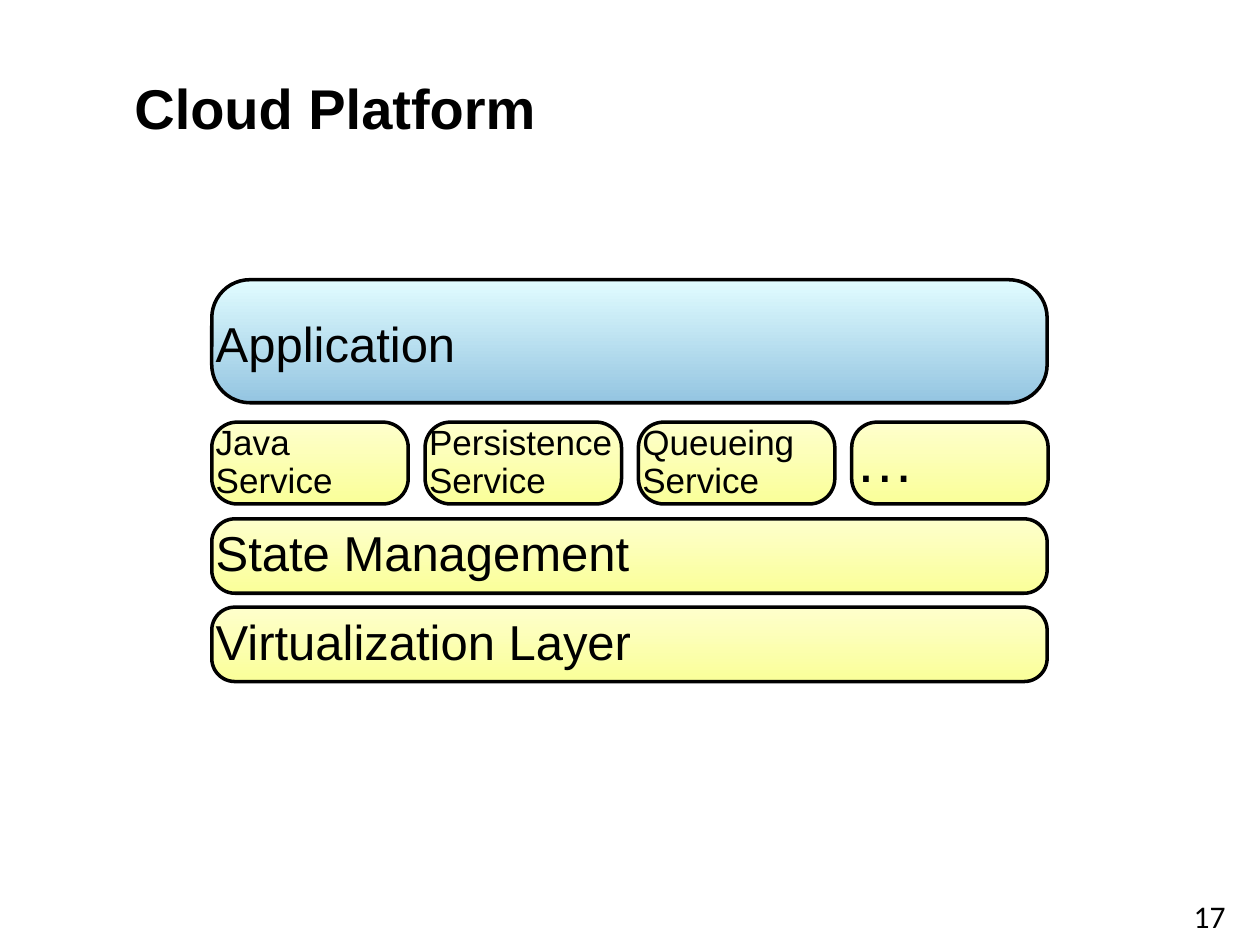
from dataclasses import dataclass

from pptx import Presentation
from pptx.dml.color import RGBColor
from pptx.enum.shapes import MSO_SHAPE
from pptx.enum.text import MSO_ANCHOR, PP_ALIGN
from pptx.util import Cm, Pt


@dataclass(frozen=True)
class Theme:
    ink: str = "000000"
    blue: tuple = ("E1FCFF", "94C5E1")
    yellow: tuple = ("FEFFCC", "FAFF99")
    heading_font: str = "Arial"
    number_font: str = "Calibri"
    title_size: int = 32
    layer_size: int = 28
    service_size: int = 20
    more_size: int = 34
    number_size: int = 18
    outline: int = 2
    corner: float = 0.31
    line_spacing: float = 0.9


THEME = Theme()

TITLE = "Cloud Platform"
PAGE_NUMBER = "17"
APPLICATION = "Application"
SERVICES = [
    ("Java\nService", THEME.service_size),
    ("Persistence\nService", THEME.service_size),
    ("Queueing\nService", THEME.service_size),
    ("…", THEME.more_size),
]
LAYERS = ["State Management", "Virtualization Layer"]

STACK_LEFT, STACK_WIDTH = 4.27, 16.84
APPLICATION_TOP, APPLICATION_HEIGHT = 5.64, 2.48
SERVICE_TOP, SERVICE_HEIGHT = 8.51, 1.65
SERVICE_WIDTH, SERVICE_PITCH = 3.96, 4.3
LAYER_TOP, LAYER_HEIGHT, LAYER_PITCH = 10.46, 1.5, 1.78
LABEL_INSET = 0.08
APPLICATION_LABEL_DROP = 0.1


def add_text(slide, text, area, size, font=THEME.heading_font, bold=False,
             align=PP_ALIGN.LEFT, anchor=MSO_ANCHOR.MIDDLE,
             padding=(0, 0), spacing=THEME.line_spacing):
    frame = slide.shapes.add_textbox(*map(Cm, area)).text_frame
    frame.word_wrap = True
    frame.vertical_anchor = anchor
    frame.margin_left = frame.margin_right = Cm(padding[0])
    frame.margin_top = frame.margin_bottom = Cm(padding[1])
    frame.text = text
    for paragraph in frame.paragraphs:
        paragraph.alignment = align
        paragraph.line_spacing = spacing
        for run in paragraph.runs:
            run.font.name = font
            run.font.size = Pt(size)
            run.font.bold = bold
            run.font.color.rgb = RGBColor.from_string(THEME.ink)


def add_block(slide, text, area, size, shades=THEME.yellow, label_drop=0):
    block = slide.shapes.add_shape(MSO_SHAPE.ROUNDED_RECTANGLE, *map(Cm, area))
    block.adjustments[0] = THEME.corner
    block.shadow.inherit = False
    block.fill.gradient()
    block.fill.gradient_angle = 270
    for stop, position, shade in zip(block.fill.gradient_stops, (0, 1), shades):
        stop.position = position
        stop.color.rgb = RGBColor.from_string(shade)
    block.line.color.rgb = RGBColor.from_string(THEME.ink)
    block.line.width = Pt(THEME.outline)

    left, top, width, height = area
    label_area = (left + LABEL_INSET, top + label_drop, width - 2 * LABEL_INSET, height)
    add_text(slide, text, label_area, size)


def main():
    deck = Presentation()
    deck.slide_width, deck.slide_height = Cm(25.4), Cm(19.05)
    slide = deck.slides.add_slide(deck.slide_layouts[6])

    add_text(slide, PAGE_NUMBER, (23.75, 18.03, 1.27, 0.71), THEME.number_size,
             font=THEME.number_font, align=PP_ALIGN.CENTER,
             anchor=MSO_ANCHOR.TOP, padding=(0.25, 0.13))
    add_text(slide, TITLE, (2.46, 0.84, 21.06, 2.62), THEME.title_size,
             bold=True, padding=(0.25, 0.13), spacing=1.0)

    add_block(slide, APPLICATION,
              (STACK_LEFT, APPLICATION_TOP, STACK_WIDTH, APPLICATION_HEIGHT),
              THEME.layer_size, THEME.blue, APPLICATION_LABEL_DROP)
    for column, (service, size) in enumerate(SERVICES):
        left = STACK_LEFT + column * SERVICE_PITCH
        add_block(slide, service,
                  (left, SERVICE_TOP, SERVICE_WIDTH, SERVICE_HEIGHT), size)
    for row, layer in enumerate(LAYERS):
        top = LAYER_TOP + row * LAYER_PITCH
        add_block(slide, layer,
                  (STACK_LEFT, top, STACK_WIDTH, LAYER_HEIGHT), THEME.layer_size)

    deck.save("out.pptx")


if __name__ == "__main__":
    main()
